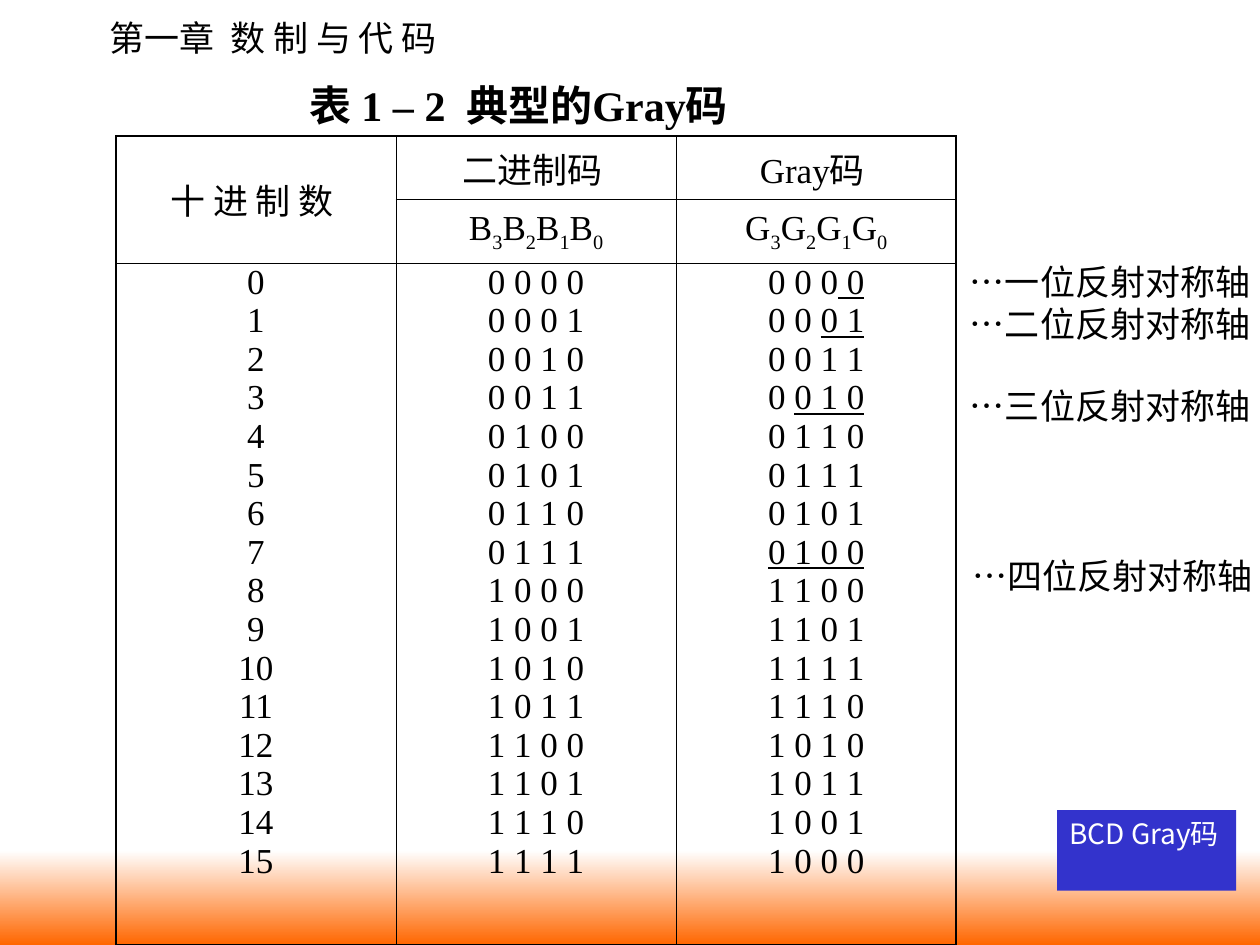
from lxml.etree import SubElement
from pptx import Presentation
from pptx.dml.color import RGBColor
from pptx.enum.shapes import MSO_SHAPE as Shape
from pptx.enum.text import MSO_ANCHOR as Anchor, MSO_AUTO_SIZE as AutoSize, PP_ALIGN as Align
from pptx.oxml.ns import qn
from pptx.util import Inches, Pt

LATIN, CJK, CJK_JP = "Times New Roman", "Noto Sans CJK SC", "Noto Sans CJK JP"
BLACK, WHITE, ORANGE, BLUE = "000000", "FFFFFF", "FF6600", "3333CC"
THIN, THICK = 0.45, 1.08
BITS = 4
# Decimal value -> underlined characters at the end of its Gray code
MIRROR_AXES = {0: 2, 1: 3, 3: 5, 7: 7}
AXIS_LABELS = [
    ("…一位反射对称轴", 7.6, 2.02),
    ("…二位反射对称轴", 7.6, 2.35),
    ("…三位反射对称轴", 7.6, 3),
    ("…四位反射对称轴", 7.62, 4.35),
]


def rgb(code):
    return RGBColor.from_string(code)


def style_runs(paragraph, size=20, color=BLACK, latin=LATIN, east_asian=CJK, bold=False):
    for run in paragraph.runs:
        font = run.font
        font.name, font.size, font.bold = latin, Pt(size), bold
        font.color.rgb = rgb(color)
        SubElement(font._element, qn("a:ea"), typeface=east_asian)


def fill_line(box, text, **style):
    """Put one unwrapped, left-aligned line of text in a box."""
    frame = box.text_frame
    frame.text = text
    frame.word_wrap = False
    frame.auto_size = AutoSize.NONE
    frame.vertical_anchor = Anchor.TOP
    frame.paragraphs[0].alignment = Align.LEFT
    style_runs(frame.paragraphs[0], **style)


def add_label(slide, text, left, top, width=2.43, **style):
    label = slide.shapes.add_textbox(Inches(left), Inches(top), Inches(width), Inches(0.44))
    fill_line(label, text, **style)


def add_rect(slide, left, top, width, height):
    rect = slide.shapes.add_shape(
        Shape.RECTANGLE, Inches(left), Inches(top), Inches(width), Inches(height))
    rect.shadow.inherit = False
    rect.line.fill.background()
    return rect


def add_bottom_band(slide):
    band = add_rect(slide, 0, 6.75, 10, 0.75)
    band.fill.gradient()
    band.fill.gradient_angle = 270
    for stop, color, position in zip(band.fill.gradient_stops, (WHITE, ORANGE), (0, 1)):
        stop.color.rgb = rgb(color)
        stop.position = position


def add_bcd_button(slide):
    button = add_rect(slide, 8.39, 6.43, 1.42, 0.64)
    button.fill.solid()
    button.fill.fore_color.rgb = rgb(BLUE)
    frame = button.text_frame
    frame.text = "BCD Gray码"
    frame.word_wrap = True
    frame.vertical_anchor = Anchor.TOP
    frame.paragraphs[0].alignment = Align.LEFT
    style_runs(frame.paragraphs[0], size=16, color=WHITE, latin=CJK_JP, east_asian=CJK_JP)


def set_borders(cell, **widths):
    properties = cell._tc.get_or_add_tcPr()
    for index, side in enumerate(("lnL", "lnR", "lnT", "lnB")):
        border = SubElement(properties, qn(f"a:{side}"), w=str(Pt(widths[side])))
        properties.insert(index, border)
        SubElement(SubElement(border, qn("a:solidFill")), qn("a:srgbClr"), val=BLACK)


def bits(value):
    return " ".join(f"{value:0{BITS}b}")


def fill_header(cell, text, anchor=Anchor.MIDDLE):
    cell.text_frame.text = text
    cell.vertical_anchor = anchor
    cell.text_frame.paragraphs[0].alignment = Align.CENTER
    style_runs(cell.text_frame.paragraphs[0])


def fill_bit_names(cell, letter):
    """Write the bit names, highest first, with subscript indices."""
    fill_header(cell, "")
    paragraph = cell.text_frame.paragraphs[0]
    for index in reversed(range(BITS)):
        paragraph.add_run().text = letter
        subscript = paragraph.add_run()
        subscript.text = str(index)
        subscript.font._element.set("baseline", "-25000")
    style_runs(paragraph)


def fill_codes(cell, codes, underlined):
    """Write one code per paragraph, underlining the ends that mirror."""
    frame = cell.text_frame
    for row, code in enumerate(codes):
        paragraph = frame.add_paragraph() if row else frame.paragraphs[0]
        paragraph.alignment = Align.CENTER
        paragraph.line_spacing = 0.8
        paragraph.space_before = Pt(4.3 if row else 0)
        split = len(code) - underlined.get(row, 0)
        for part, underline in ((code[:split], None), (code[split:], True)):
            if part:
                run = paragraph.add_run()
                run.text = part
                run.font.underline = underline
        style_runs(paragraph)


def add_code_table(slide):
    heights = (0.43, 0.48, 5.41)
    frame = slide.shapes.add_table(
        3, 3, Inches(0.92), Inches(1.08), Inches(6.67), Inches(sum(heights)))
    table = frame.table
    table.first_row = table.horz_banding = False
    for row, height in zip(table.rows, heights):
        row.height = Inches(height)

    # Thick outer frame, thin inner rules
    for r in range(3):
        for c in range(3):
            cell = table.cell(r, c)
            cell.fill.background()
            set_borders(cell, lnL=THIN if c else THICK, lnR=THICK if c == 2 else THIN,
                        lnT=THIN if r else THICK, lnB=THICK if r == 2 else THIN)
    table.cell(0, 0).merge(table.cell(1, 0))

    # Headings
    fill_header(table.cell(0, 0), "十 进 制 数 ")
    fill_header(table.cell(0, 1), "二进制码 ", Anchor.TOP)
    fill_header(table.cell(0, 2), "Gray码 ", Anchor.TOP)
    fill_bit_names(table.cell(1, 1), "B")
    fill_bit_names(table.cell(1, 2), "G")

    # Code columns
    values = range(2 ** BITS)
    fill_codes(table.cell(2, 0), [str(n) for n in values], {})
    fill_codes(table.cell(2, 1), [bits(n) for n in values], {})
    fill_codes(table.cell(2, 2), [bits(n ^ n >> 1) for n in values], MIRROR_AXES)


def main():
    deck = Presentation()
    deck.slide_width, deck.slide_height = Inches(10), Inches(7.5)
    slide = deck.slides.add_slide(deck.slide_layouts[5])

    # Band, chapter heading and table caption
    add_bottom_band(slide)
    add_label(slide, "第一章  数 制 与 代 码", 0.77, 0.08, width=2.86, latin=CJK)
    caption = slide.shapes.title
    caption.left, caption.top = Inches(2.36), Inches(0.58)
    caption.width, caption.height = Inches(3.91), Inches(0.5)
    fill_line(caption, "表 1 – 2  典型的Gray码", size=24, bold=True)

    # Table with its mirror axes, and the button
    add_code_table(slide)
    for text, left, top in AXIS_LABELS:
        add_label(slide, text, left, top)
    add_bcd_button(slide)

    deck.save("out.pptx")


if __name__ == "__main__":
    main()
